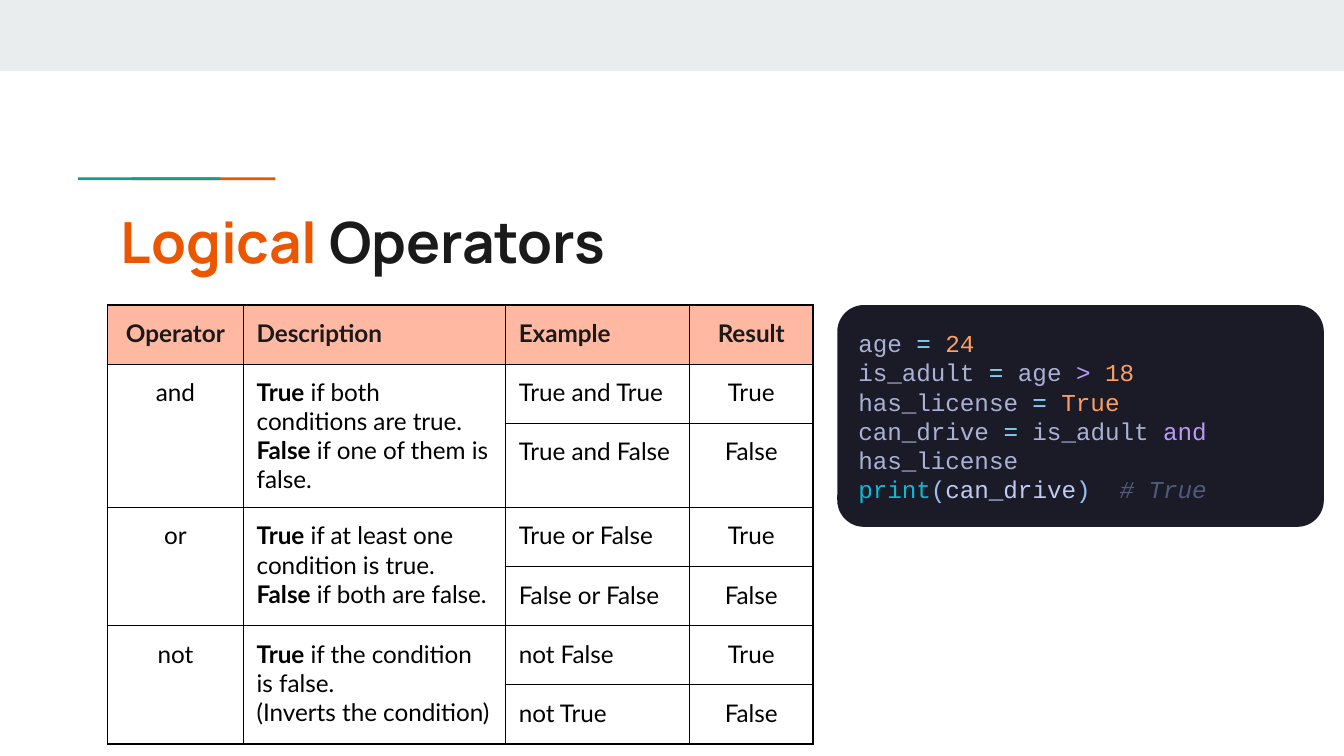
from lxml import etree
from pptx import Presentation
from pptx.dml.color import RGBColor
from pptx.enum.shapes import MSO_SHAPE
from pptx.enum.text import MSO_ANCHOR, MSO_AUTO_SIZE, PP_ALIGN
from pptx.oxml.ns import qn
from pptx.util import Inches, Pt

RECT, ROUND = MSO_SHAPE.RECTANGLE, MSO_SHAPE.ROUNDED_RECTANGLE
TOP, MIDDLE = MSO_ANCHOR.TOP, MSO_ANCHOR.MIDDLE
LEFT, CENTER = PP_ALIGN.LEFT, PP_ALIGN.CENTER
NO_FIT = MSO_AUTO_SIZE.NONE

THEME = {
    "title": ("Manrope", 30.4), "body": ("Lato", 13), "code": ("Courier New", 13),
    "band": "E9EDEE", "orange": "EB5600", "teal": "1A9988", "ink": "1A1A1A",
    "black": "000000", "white": "FFFFFF", "head": "FFB8A2", "panel": "1A1B26",
    "name": "A9B1D6", "sign": "89DDFF", "value": "FF9E64", "word": "BB9AF7",
    "call": "0DB9D7", "paren": "9ABDF5", "arg": "C0CAF5", "note": "51597D",
}

TITLE = [("Logical ", "orange"), ("Operators", "ink")]
HEADS = ["Operator", "Description", "Example", "Result"]
# Each operator: name, description lines of (bold lead, rest), two examples
OPERATORS = [
    ("and", [("True", " if both conditions are true."),
             ("False", " if one of them is false.")],
     [("True and True", "True"), ("True and False", "False")]),
    ("or", [("True", " if at least one condition is true."),
            ("False", " if both are false.")],
     [("True or False", "True"), ("False or False", "False")]),
    ("not", [("True", " if the condition is false.\n(Inverts the condition)")],
     [("not False", "True"), ("not True", "False")]),
]
CODE = [
    [("age ", "name"), ("=", "sign"), (" ", "name"), ("24", "value")],
    [("is_adult ", "name"), ("=", "sign"), (" age ", "name"), (">", "word"),
     (" ", "name"), ("18", "value")],
    [("has_license ", "name"), ("=", "sign"), (" ", "name"), ("True", "value")],
    [("can_drive ", "name"), ("=", "sign"), (" is_adult ", "name"),
     ("and", "word"), (" has_license", "name")],
    [("print", "call"), ("(", "paren"), ("can_drive", "arg"), (")", "paren"),
     ("  ", "name"), ("# True", "note")],
]
WIDE = 10
HIGH = WIDE * 9 / 16
# Drawn back to front: left, top, width, height, colour
BARS = [
    (0, 0, WIDE, 0.53, "band"),
    (0.98, 1.32, 1.07, 0.02, "orange"),
    (0.58, 1.32, 1.06, 0.02, "teal"),
]
COLS = [1.01, 1.95, 1.37, 0.92]
ALIGNS = [CENTER, LEFT, LEFT, CENTER]
ROW = 0.44
TABLE_X, TABLE_Y = 0.8, 2.27


def color(key):
    return RGBColor.from_string(THEME[key])


def inset(box):
    """Give a cell or text frame equal margins."""
    box.margin_left = box.margin_right = Inches(0.1)
    box.margin_top = box.margin_bottom = Inches(0.1)


def add_run(para, text, style, tint, bold=False, italic=False):
    for i, part in enumerate(text.split("\n")):
        if i:
            para.add_line_break()
        run = para.add_run()
        run.text = part
        face, size = THEME[style]
        run.font.name, run.font.size = face, Pt(size)
        run.font.bold, run.font.italic = bold, italic
        run.font.color.rgb = color(tint)


def add_block(slide, kind, place, tint):
    block = slide.shapes.add_shape(kind, *[Inches(v) for v in place])
    block.shadow.inherit = False
    block.fill.solid()
    block.fill.fore_color.rgb = color(tint)
    block.line.fill.background()
    return block


def add_borders(cell):
    props = cell._tc.get_or_add_tcPr()
    for i, side in enumerate(("lnL", "lnR", "lnT", "lnB")):
        line = etree.Element(qn("a:" + side), w=str(Pt(0.75)))
        fill = etree.SubElement(line, qn("a:solidFill"))
        etree.SubElement(fill, qn("a:srgbClr"), val=THEME["black"])
        props.insert(i, line)


def fill_cell(cell, lines, align, tint="black"):
    """Write lines of (text, bold) runs into a cell."""
    frame = cell.text_frame
    for i, line in enumerate(lines):
        para = frame.add_paragraph() if i else frame.paragraphs[0]
        para.alignment = align
        for text, bold in line:
            add_run(para, text, "body", tint, bold)


def add_title(slide):
    title = slide.shapes.title
    title.left, title.top = Inches(0.8), Inches(1.44)
    title.width, title.height = Inches(8.41), Inches(0.59)
    frame = title.text_frame
    inset(frame)
    frame.vertical_anchor = TOP
    frame.auto_size = NO_FIT
    para = frame.paragraphs[0]
    para.alignment = LEFT
    for text, tint in TITLE:
        add_run(para, text, "title", tint, bold=True)


def add_grid(slide):
    count = 1 + sum(len(cases) for _, _, cases in OPERATORS)
    grid = slide.shapes.add_table(
        count, len(COLS), Inches(TABLE_X), Inches(TABLE_Y),
        Inches(sum(COLS)), Inches(ROW * count)).table
    grid.horz_banding = False
    for col, width in zip(grid.columns, COLS):
        col.width = Inches(width)
    for r, row in enumerate(grid.rows):
        row.height = Inches(ROW)
        for cell in row.cells:
            inset(cell)
            cell.fill.solid()
            cell.fill.fore_color.rgb = color("white" if r else "head")
            add_borders(cell)
    for c, head in enumerate(HEADS):
        fill_cell(grid.cell(0, c), [[(head, True)]], ALIGNS[c], "ink")
    top = 1
    for name, about, cases in OPERATORS:
        for c in (0, 1):
            grid.cell(top, c).merge(grid.cell(top + len(cases) - 1, c))
        fill_cell(grid.cell(top, 0), [[(name, False)]], ALIGNS[0])
        lines = [[(lead, True), (rest, False)] for lead, rest in about]
        fill_cell(grid.cell(top, 1), lines, ALIGNS[1])
        for case in cases:
            for c, text in enumerate(case, 2):
                fill_cell(grid.cell(top, c), [[(text, False)]], ALIGNS[c])
            top += 1


def add_code(slide):
    panel = add_block(slide, ROUND, (6.23, TABLE_Y, 3.62, 1.65), "panel")
    panel.adjustments[0] = 0.12
    frame = panel.text_frame
    frame.word_wrap = True
    frame.vertical_anchor = MIDDLE
    inset(frame)
    for i, line in enumerate(CODE):
        para = frame.add_paragraph() if i else frame.paragraphs[0]
        para.alignment = LEFT
        for text, tint in line:
            add_run(para, text, "code", tint, italic=tint == "note")


def main():
    deck = Presentation()
    deck.slide_width, deck.slide_height = Inches(WIDE), Inches(HIGH)
    slide = deck.slides.add_slide(deck.slide_layouts[5])
    for *place, tint in BARS:
        add_block(slide, RECT, place, tint)
    add_title(slide)
    add_grid(slide)
    add_code(slide)
    deck.save("out.pptx")


if __name__ == "__main__":
    main()
